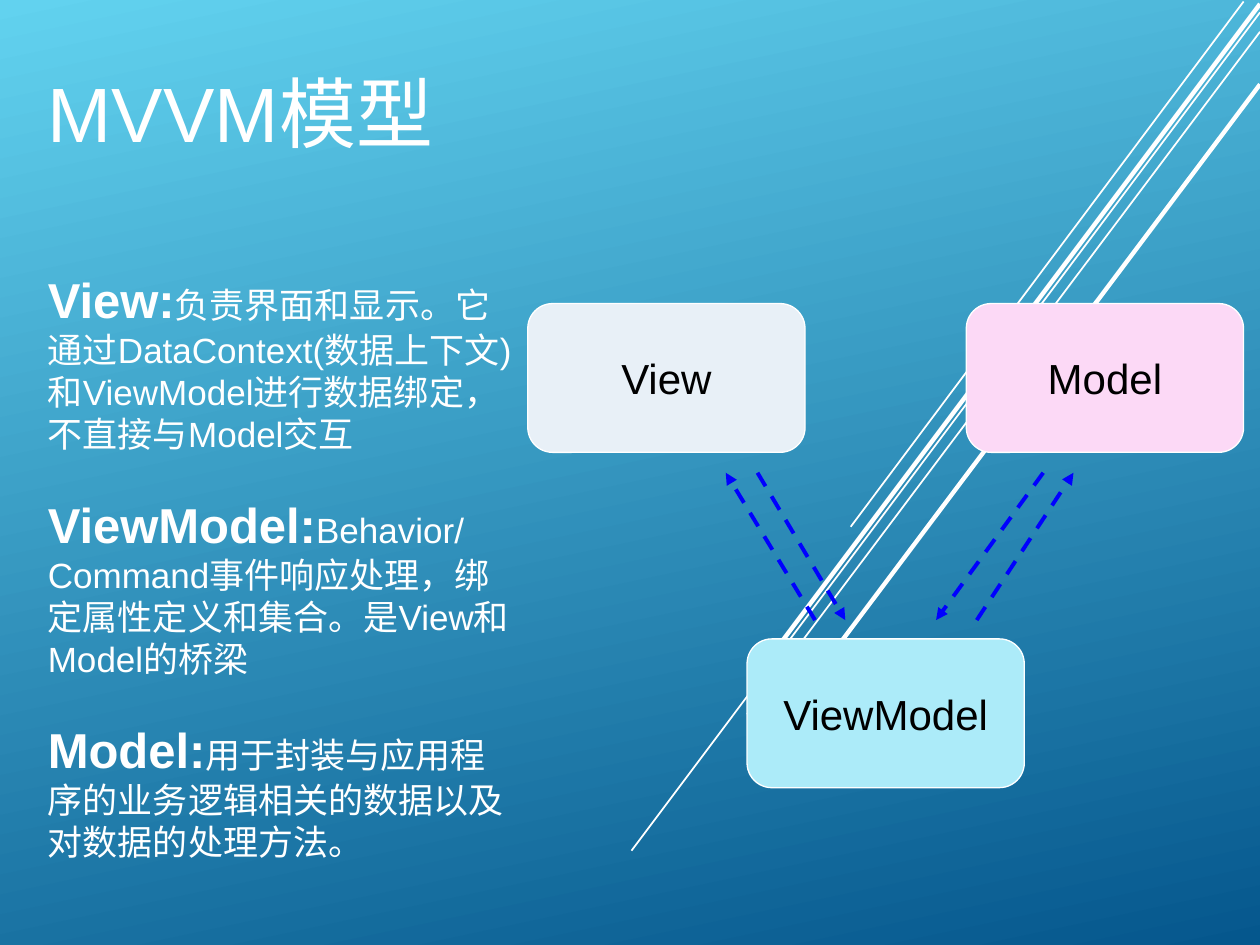
import dataclasses

import pptx
import pptx.dml.color
import pptx.enum.dml
import pptx.enum.shapes
import pptx.enum.text
import pptx.oxml
import pptx.oxml.ns
import pptx.util

Cm, Pt = pptx.util.Cm, pptx.util.Pt
RGB = pptx.dml.color.RGBColor.from_string
ALIGN = pptx.enum.text.PP_ALIGN
ANCHOR = pptx.enum.text.MSO_ANCHOR


@dataclasses.dataclass(frozen=True)
class Theme:
    font: str = "Arial"
    sky: str = "62D2EF"
    deep: str = "05578D"
    light: str = "FFFFFF"
    dark: str = "000000"
    arrow: str = "0000FF"
    view: str = "E8F0F7"
    view_model: str = "ACEBF9"
    model: str = "FCD9F6"
    title_size: int = 44
    term_size: int = 28
    box_size: int = 24
    text_size: int = 20


theme = Theme()


def write(paragraph, text, size=theme.text_size, color=theme.light, bold=False,
          align=ALIGN.LEFT, before=0):
    """Append one formatted run and set the spacing of its paragraph."""
    paragraph.alignment = align
    paragraph.space_before = Pt(before)
    run = paragraph.add_run()
    run.text = text
    run.font.name = theme.font
    run.font.size = Pt(size)
    run.font.bold = bold
    run.font.color.rgb = RGB(color)


def draw_line(start, end, color, width):
    line = slide.shapes.add_connector(
        pptx.enum.shapes.MSO_CONNECTOR.STRAIGHT,
        *(Cm(value) for value in (*start, *end)))
    line.line.color.rgb = RGB(color)
    line.line.width = Pt(width)
    line._element.spPr.append(pptx.oxml.parse_xml(
        f"<a:effectLst {pptx.oxml.ns.nsdecls('a')}/>"))
    return line


presentation = pptx.Presentation()
presentation.slide_width, presentation.slide_height = Cm(25.4), Cm(19.05)
slide = presentation.slides.add_slide(presentation.slide_layouts[1])

# Background
background = slide.background.fill
background.gradient()
background.gradient_angle = 360 - 78
for stop, position, color in zip(background.gradient_stops, (0, 1),
                                 (theme.sky, theme.deep)):
    stop.position = position
    stop.color.rgb = RGB(color)

# Diagonal rays
for start, end, width in (
    ((25.07, 0.03), (17.15, 10.62), 1),
    ((25.4, 0.25), (12.73, 17.15), 1),
    ((25.4, 0.64), (15.06, 14.4), 1),
    ((25.4, 0.08), (15.29, 13.56), 2.5),
    ((25.4, 1.7), (16.33, 13.77), 2.5),
):
    draw_line(start, end, theme.light, width)

# Title and body placeholders
title, body = slide.shapes.title, slide.placeholders[1]
for shape, left, top, width, height in (
    (title, 0.71, 1.19, 14.38, 2.13),
    (body, 0.71, 5.31, 10.01, 12.29),
):
    shape.left, shape.top = Cm(left), Cm(top)
    shape.width, shape.height = Cm(width), Cm(height)
    shape.text_frame.word_wrap = True
    shape.text_frame.auto_size = pptx.enum.text.MSO_AUTO_SIZE.NONE
    shape.text_frame.vertical_anchor = ANCHOR.TOP

write(title.text_frame.paragraphs[0], "MVVM模型", size=theme.title_size)

definitions = (
    ("View:", "负责界面和显示。它通过DataContext(数据上下文)和ViewModel进行数据绑定，不直接与Model交互"),
    ("ViewModel:", "Behavior/Command事件响应处理，绑定属性定义和集合。是View和Model的桥梁"),
    ("Model:", "用于封装与应用程序的业务逻辑相关的数据以及对数据的处理方法。"),
)
for index, (term, meaning) in enumerate(definitions):
    frame = body.text_frame
    paragraph = frame.add_paragraph() if index else frame.paragraphs[0]
    properties = paragraph._p.get_or_add_pPr()
    properties.set("marL", "0")
    properties.set("indent", "0")
    properties.append(pptx.oxml.parse_xml(
        f"<a:buNone {pptx.oxml.ns.nsdecls('a')}/>"))
    before = 23 if index else 0
    write(paragraph, term, size=theme.term_size, bold=True, before=before)
    write(paragraph, meaning, before=before)

# Pattern boxes, evenly stepped from left to right
for index, (label, top, color) in enumerate((
    ("View", 6.12, theme.view),
    ("ViewModel", 12.88, theme.view_model),
    ("Model", 6.12, theme.model),
)):
    box = slide.shapes.add_shape(
        pptx.enum.shapes.MSO_SHAPE.ROUNDED_RECTANGLE,
        Cm(10.64 + 4.42 * index), Cm(top), Cm(5.59), Cm(3))
    box.shadow.inherit = False
    box.fill.solid()
    box.fill.fore_color.rgb = RGB(color)
    box.line.color.rgb = RGB(theme.light)
    box.line.width = Pt(0.75)
    box.text_frame.word_wrap = False
    box.text_frame.vertical_anchor = ANCHOR.MIDDLE
    write(box.text_frame.paragraphs[0], label, size=theme.box_size,
          color=theme.dark, align=ALIGN.CENTER)

# Two-way dashed arrows between the rows of boxes
upper, lower = 9.53, 12.5
for start, end in (
    ((15.27, upper), (17.04, lower)),
    ((19.69, lower), (21.64, upper)),
    ((16.43, lower), (14.63, upper)),
    ((21.03, upper), (18.87, lower)),
):
    arrow = draw_line(start, end, theme.arrow, 2.25)
    arrow.line.dash_style = pptx.enum.dml.MSO_LINE.DASH
    arrow.line._get_or_add_ln().append(pptx.oxml.parse_xml(
        f"<a:tailEnd {pptx.oxml.ns.nsdecls('a')} type='triangle'/>"))

presentation.save("out.pptx")
